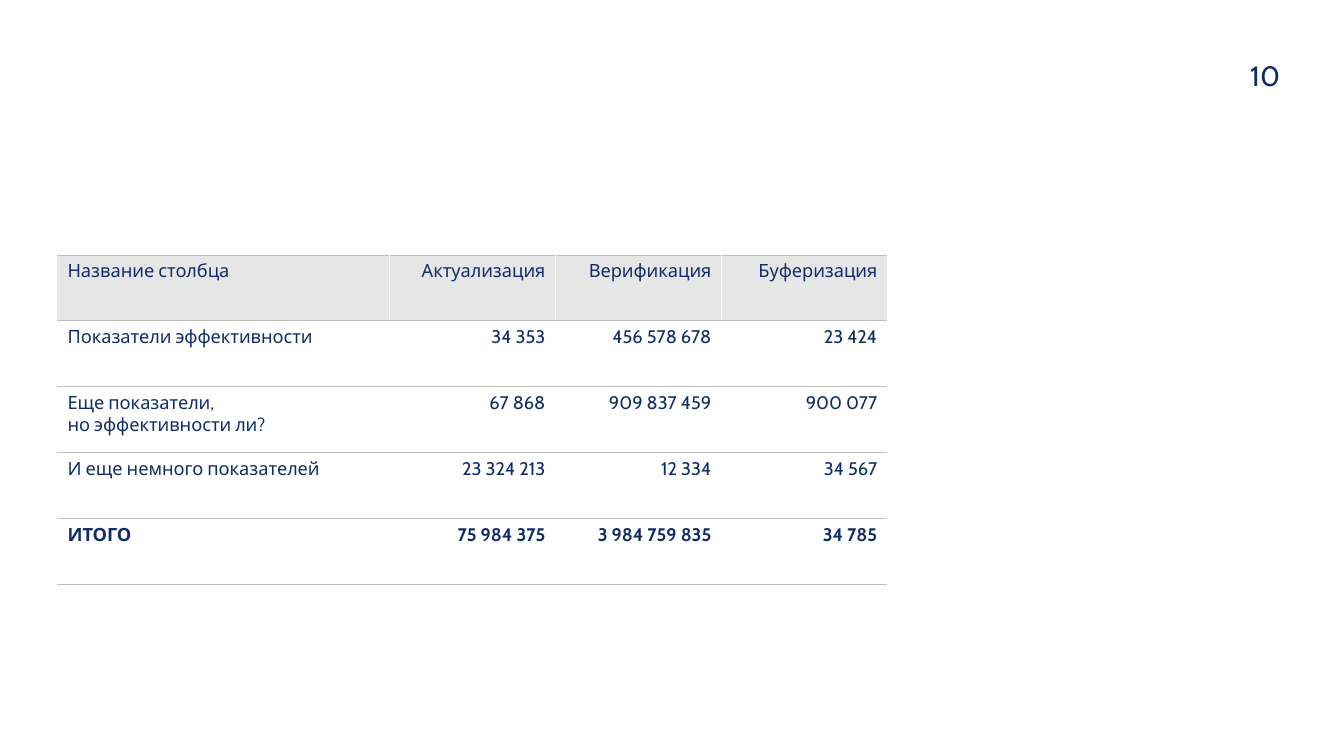
"""Build a slide with a table of performance indicators and a page number."""
from dataclasses import dataclass

from lxml.etree import SubElement
from pptx import Presentation
from pptx.dml.color import RGBColor
from pptx.enum.text import MSO_AUTO_SIZE, PP_ALIGN
from pptx.oxml.ns import qn
from pptx.slide import Slide
from pptx.table import _Cell
from pptx.text.text import TextFrame
from pptx.util import Inches, Pt

NAVY, GREY, HEADER, WHITE = "102D69", "BFBFBF", "E7E6E6", "FFFFFF"
COLUMN_SHARES = (2, 1, 1, 1)


@dataclass
class Row:
    label: str
    values: tuple[str, ...]
    fill: str | None = None
    bold: bool = False


ROWS = (
    Row("Название столбца", ("Актуализация", "Верификация", "Буферизация"), fill=HEADER),
    Row("Показатели эффективности", ("34 353", "456 578 678", "23 424")),
    Row("Еще показатели,\vно эффективности ли?", ("67 868", "909 837 459", "900 077")),
    Row("И еще немного показателей", ("23 324 213", "12 334", "34 567")),
    Row("ИТОГО", ("75 984 375", "3 984 759 835", "34 785"), bold=True),
)


def color(value: str) -> RGBColor:
    return RGBColor.from_string(value)


def write(tf: TextFrame, text: str, size: int, bold: bool = False,
          align: PP_ALIGN = PP_ALIGN.LEFT) -> None:
    p = tf.paragraphs[0]
    p.text = text
    p.alignment = align
    style = {"name": "Cabin", "size": Pt(size), "bold": bold}
    for r in p.runs:
        for name, value in style.items():
            setattr(r.font, name, value)
        r.font.color.rgb = color(NAVY)


def add_border(cell: _Cell, side: str, width: float, value: str | None) -> None:
    ln = SubElement(cell._tc.get_or_add_tcPr(), qn(f"a:ln{side}"), w=str(Pt(width)))
    if value is None:
        SubElement(ln, qn("a:noFill"))
    else:
        fill = SubElement(ln, qn("a:solidFill"))
        SubElement(fill, qn("a:srgbClr"), val=value)


def draw_cell(cell: _Cell, row: Row, col: int) -> None:
    text = (row.label, *row.values)[col]
    align = PP_ALIGN.RIGHT if col else PP_ALIGN.LEFT
    write(cell.text_frame, text, 13, row.bold, align)
    last = len(row.values)
    add_border(cell, "L", 0.25, WHITE if col else None)
    add_border(cell, "R", 0.25, WHITE if col < last else None)
    for side in "TB":
        add_border(cell, side, 0.75, GREY)
    if row.fill:
        cell.fill.solid()
        cell.fill.fore_color.rgb = color(row.fill)
    else:
        cell.fill.background()


def draw_table(s: Slide) -> None:
    width, height = Inches(8.23), Inches(3.27)
    table = s.shapes.add_table(len(ROWS), len(COLUMN_SHARES), Inches(0.57),
                               Inches(2.53), width, height).table
    table.horz_banding = False
    table.first_row = False
    for column, share in zip(table.columns, COLUMN_SHARES):
        column.width = width * share // sum(COLUMN_SHARES)
    for i, row in enumerate(ROWS):
        table.rows[i].height = height // len(ROWS)
        for col in range(len(COLUMN_SHARES)):
            draw_cell(table.cell(i, col), row, col)


def draw_page_number(s: Slide, number: str) -> None:
    sp = s.shapes.add_textbox(Inches(12.4), Inches(0.58), Inches(0.73), Inches(0.34))
    tf = sp.text_frame
    layout = {"margin_left": 0, "margin_top": 0, "margin_right": 0, "margin_bottom": 0,
              "word_wrap": True, "auto_size": MSO_AUTO_SIZE.SHAPE_TO_FIT_TEXT}
    for name, value in layout.items():
        setattr(tf, name, value)
    write(tf, number, 20)


def main() -> None:
    prs = Presentation()
    prs.slide_width, prs.slide_height = Inches(13.33), Inches(7.5)
    s = prs.slides.add_slide(prs.slide_layouts[6])
    draw_page_number(s, "10")
    draw_table(s)
    prs.save("out.pptx")


if __name__ == "__main__":
    main()
